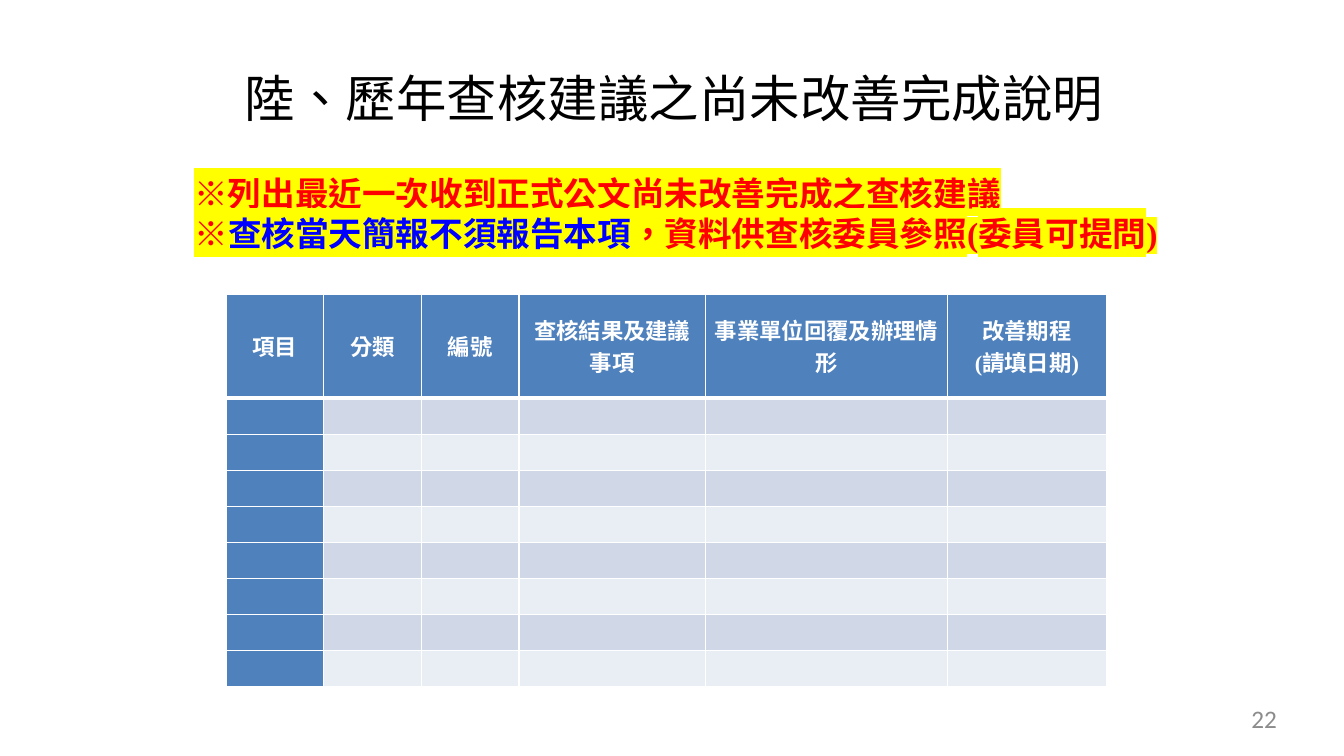
from dataclasses import dataclass
from lxml.etree import SubElement as Sub
from pptx import Presentation
from pptx.dml.color import RGBColor as Rgb
from pptx.enum.text import MSO_ANCHOR as Anchor, PP_ALIGN as Align
from pptx.oxml.ns import qn
from pptx.util import Cm, Pt


@dataclass(frozen=True)
class Theme:
    white: str = "FFFFFF"
    black: str = "000000"
    red: str = "FF0000"
    blue: str = "0000FF"
    yellow: str = "FFFF00"
    gray: str = "8C8C8C"
    head: str = "4F81BD"
    odd: str = "D0D8E8"
    even: str = "E9EDF4"
    title: int = 36
    note: int = 24
    cell: int = 16
    page: int = 18
    cjk: str = "Noto Sans CJK SC"
    serif: str = "Times New Roman"
    sans: str = "Calibri"


T = Theme()


def write(para, text, size, face, color, bold=False, mark=None, gap=None, align=None):
    if align is not None:
        para.alignment = align
    run = para.add_run()
    run.text = text
    font = run.font
    font.size, font.bold = Pt(size), bold
    font.color.rgb = Rgb.from_string(color)
    props = font._element
    props.set("lang", "zh-TW")
    if mark:
        Sub(Sub(props, qn("a:highlight")), qn("a:srgbClr"), val=mark)
    if gap:
        props.set("spc", str(gap))
    font.name = face
    Sub(props, qn("a:ea"), typeface=T.cjk)


def add_box(slide, left, top, width, height, pad=0):
    frame = slide.shapes.add_textbox(Cm(left), Cm(top), Cm(width), Cm(height)).text_frame
    frame.word_wrap = True
    frame.margin_left = frame.margin_right = Cm(pad)
    frame.margin_top = frame.margin_bottom = 0
    return frame


def edge(cell, side, width):
    line = Sub(cell._tc.get_or_add_tcPr(), qn(f"a:{side}"), w=str(Pt(width)))
    Sub(Sub(line, qn("a:solidFill")), qn("a:srgbClr"), val=T.white)


def style(cell, color, top, base):
    cell.margin_left = cell.margin_right = Cm(0.18)
    cell.margin_top = cell.margin_bottom = 0
    cell.vertical_anchor = Anchor.MIDDLE
    for side, width in (("lnL", 1), ("lnR", 1), ("lnT", top), ("lnB", base)):
        edge(cell, side, width)
    cell.fill.solid()
    cell.fill.fore_color.rgb = Rgb.from_string(color)


def add_grid(slide, left, top, heads, widths, tall, low, count):
    grid = slide.shapes.add_table(
        count + 1, len(heads), Cm(left), Cm(top), Cm(sum(widths)), Cm(tall + count * low)
    ).table
    for col, width in zip(grid.columns, widths):
        col.width = Cm(width)
    for r, row in enumerate(grid.rows):
        row.height = Cm(low if r else tall)
        for c, cell in enumerate(row.cells):
            color = T.head if r == 0 or c == 0 else T.odd if r % 2 else T.even
            style(cell, color, 3 if r == 1 else 1, 1 if r else 3)
    for cell, head in zip(grid.rows[0].cells, heads):
        frame = cell.text_frame
        for i, text in enumerate(head.split("\n")):
            para = frame.add_paragraph() if i else frame.paragraphs[0]
            write(para, text, T.cell, T.serif, T.white, bold=True, align=Align.CENTER)


def add_notes(slide, lines):
    frame = add_box(slide, 4.65, 4.36, 25.02, 3.05, pad=0.25)
    for i, line in enumerate(lines):
        para = frame.add_paragraph() if i else frame.paragraphs[0]
        para.line_spacing = Pt(T.note * 1.2)
        for text, color in line:
            write(para, text, T.note, T.serif, color, bold=True, mark=T.yellow)


def main():
    deck = Presentation()
    deck.slide_width, deck.slide_height = Cm(33.87), Cm(19.05)
    slide = deck.slides.add_slide(deck.slide_layouts[6])

    title = add_box(slide, 6.17, 1.7, 22.23, 1.55).paragraphs[0]
    write(title, "陸、歷年查核建議之尚未改善完成說明", T.title, T.cjk, T.black, gap=10)

    heads = ["項目", "分類", "編號", "查核結果及建議事項", "事業單位回覆及辦理情形", "改善期程\n(請填日期)"]
    widths = [2.46, 2.46, 2.46, 4.7, 6.1, 4.0]
    add_grid(slide, 5.7, 7.41, heads, widths, tall=2.62, low=0.91, count=8)

    page = add_box(slide, 24.38, 17.72, 7.8, 0.76).paragraphs[0]
    write(page, "22", T.page, T.sans, T.gray, align=Align.RIGHT)

    add_notes(slide, [
        [("※列出最近一次收到正式公文尚未改善完成之查核建議", T.red)],
        [("※", T.red), ("查核當天簡報不須報告本項", T.blue),
         ("，資料供查核委員參照(委員可提問)", T.red)],
    ])
    deck.save("out.pptx")


if __name__ == "__main__":
    main()
